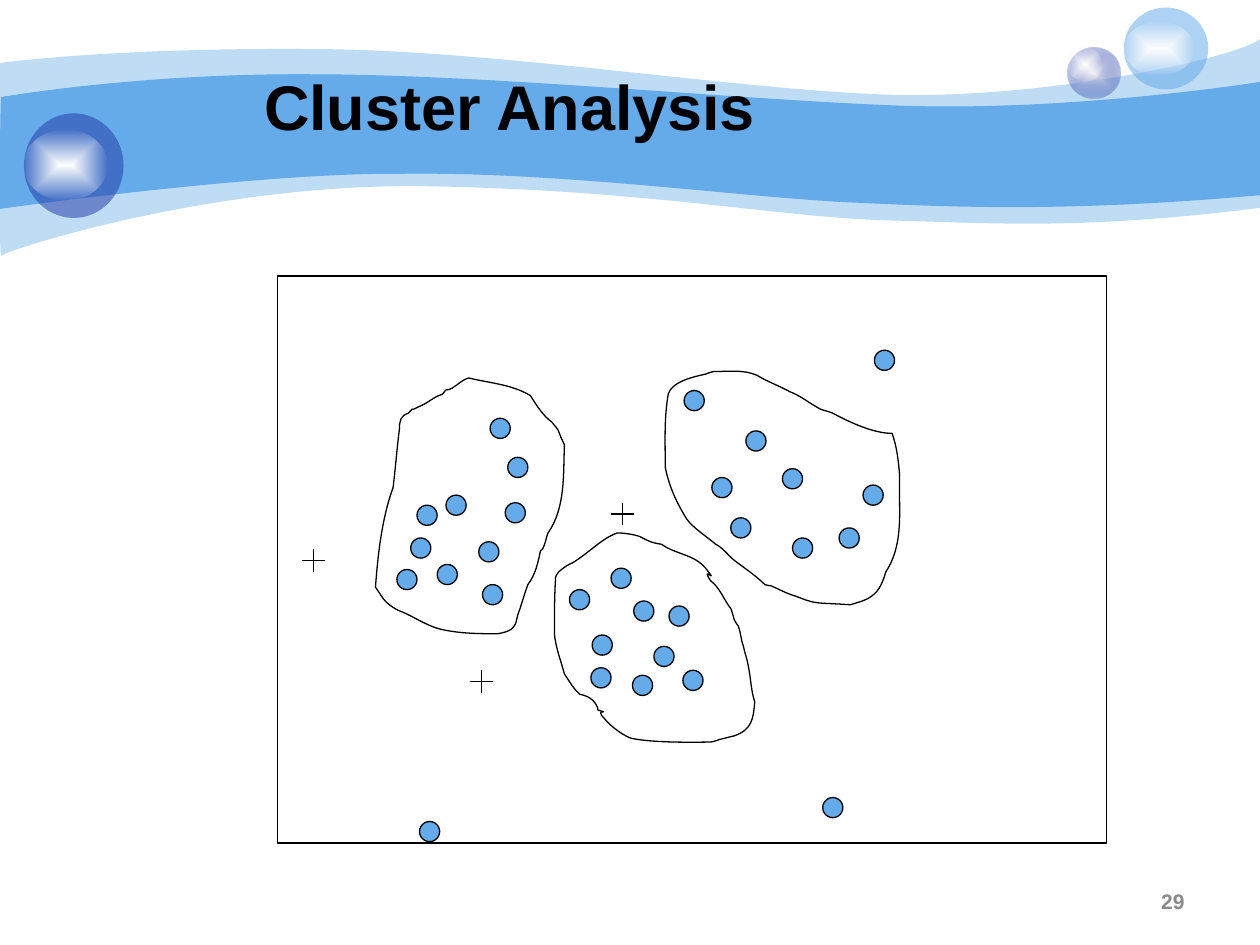
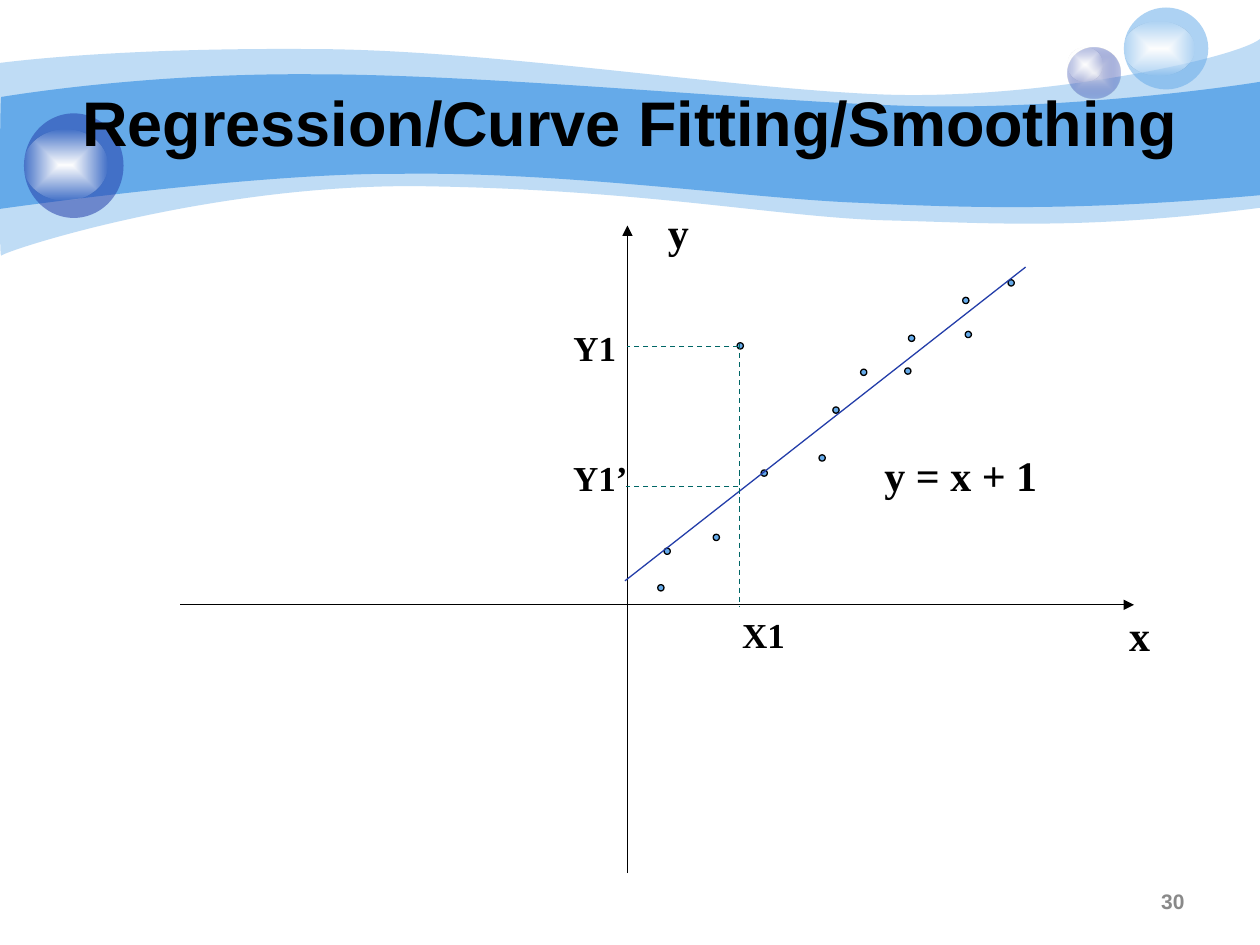
from dataclasses import dataclass
from typing import NamedTuple, Optional

from lxml import etree
from pptx import Presentation
from pptx.dml.color import RGBColor
from pptx.enum.dml import MSO_LINE_DASH_STYLE as Dash
from pptx.enum.shapes import MSO_CONNECTOR as Connector, MSO_SHAPE as Shape
from pptx.enum.text import MSO_ANCHOR as Anchor, MSO_AUTO_SIZE as AutoSize, PP_ALIGN as Align
from pptx.oxml.ns import qn
from pptx.util import Cm, Length, Pt


@dataclass(frozen=True)
class Theme:
    sky: str = "65AAE9"
    navy: str = "233DA9"
    mist: str = "E1E2ED"
    white: str = "FFFFFF"
    black: str = "000000"
    teal: str = "006666"
    grey: str = "898989"
    heading_font: str = "Arial"
    math_font: str = "Times New Roman"
    title_size: float = 36
    axis_size: float = 24
    mark_size: float = 20
    number_size: float = 12
    line_width: float = 0.75


THEME = Theme()


class Box(NamedTuple):
    """Left, top, width and height in grid units."""
    left: float
    top: float
    width: float
    height: float


class Stop(NamedTuple):
    color: str
    opacity: int = 100


class Bubble(NamedTuple):
    box: Box
    stops: tuple[Stop, ...]  # one stop is a solid fill, two are a radial gradient


class Label(NamedTuple):
    text: str
    box: Box
    size: float


class Segment(NamedTuple):
    start: tuple[float, float]
    end: tuple[float, float]
    color: str = THEME.black
    dash: Optional[Dash] = None
    arrow: bool = False


class Outline(NamedTuple):
    """A start point, then curves (three points each) or straight sides (one point)."""
    start: tuple[float, float]
    sides: tuple[tuple[float, ...], ...]


# ---- Shared scenery ----
PALE_BAND = Outline((0, 0.5), (
    (0.24, 0.47, 1.07, 0.38, 2.47, 0.39), (3.86, 0.39, 5.75, 0.7, 6.99, 0.75),
    (8.22, 0.8, 9.8, 0.47, 10, 0.31), (10, 1.65),
    (8.58, 1.83, 7.87, 1.77, 7.05, 1.75), (6.22, 1.73, 5.15, 1.51, 3.43, 1.48),
    (1.72, 1.44, 0.04, 1.99, 0.01, 2.03), (-0.01, 2.08, 0, 0.75, 0, 0.5)))
STRONG_BAND = Outline((0.01, 0.77), (
    (0.02, 0.77, 1.1, 0.58, 2.48, 0.59), (3.86, 0.59, 5.95, 0.8, 7.18, 0.84),
    (8.41, 0.88, 9.76, 0.69, 10, 0.65), (10, 1.55),
    (8.53, 1.68, 7.65, 1.65, 6.82, 1.61), (5.99, 1.58, 4.47, 1.36, 3.17, 1.38),
    (2.03, 1.37, -0.02, 1.66, -0.01, 1.66), (0, 1.66, 0, 0.77, 0.01, 0.77)))
GLOW = (Stop(THEME.white), Stop(THEME.white, 0))
BUBBLES = (
    Bubble(Box(8.47, 0.38, 0.42, 0.4), (Stop(THEME.mist), Stop(THEME.navy, 31))),
    Bubble(Box(8.47, 0.38, 0.28, 0.27), GLOW),
    Bubble(Box(8.92, 0.06, 0.67, 0.65), (Stop(THEME.sky, 53),)),
    Bubble(Box(8.92, 0.17, 0.56, 0.43), GLOW),
    Bubble(Box(0.19, 0.9, 0.79, 0.83), (Stop(THEME.navy, 53),)),
    Bubble(Box(0.19, 1.03, 0.66, 0.56), GLOW),
)
NUMBER_BOX = Box(7.17, 7, 2.33, 0.35)

# ---- Cluster slide ----
FRAME = Box(2.2, 2.19, 6.58, 4.5)
DOT_SIZE = 0.16
CROSS_ARM = 0.09
CROSSES = ((3.82, 5.41), (4.94, 4.08), (2.49, 4.45))
OUTLIERS = ((6.53, 6.33), (3.33, 6.52), (6.94, 2.78))
LEFT_DOTS = ((3.47, 4.48), (3.26, 4.27), (3.8, 4.3), (3.54, 3.93), (3.15, 4.52),
             (3.31, 4.01), (3.83, 4.64), (4.01, 3.99), (4.03, 3.63), (3.89, 3.32))
RIGHT_DOTS = ((5.92, 3.42), (5.8, 4.11), (6.21, 3.72), (5.65, 3.79), (6.85, 3.85),
              (6.66, 4.19), (6.29, 4.27), (5.43, 3.1))
LOWER_DOTS = ((4.52, 4.68), (5.31, 4.81), (5.02, 5.36), (5.19, 5.13), (4.7, 5.04),
              (4.69, 5.3), (4.85, 4.51), (5.03, 4.77), (5.42, 5.32))
RIGHT_CLUSTER = Outline((7.08, 3.44), (
    (7.12, 3.55, 7.13, 3.66, 7.14, 3.77), (7.13, 4.04, 7.18, 4.31, 7.03, 4.54),
    (7.01, 4.61, 6.98, 4.69, 6.92, 4.73), (6.87, 4.77, 6.81, 4.78, 6.75, 4.8),
    (6.45, 4.78, 6.49, 4.8, 6.31, 4.73), (6.24, 4.71, 6.19, 4.68, 6.12, 4.65),
    (6.1, 4.65, 6.07, 4.64, 6.07, 4.64), (6, 4.57, 5.91, 4.51, 5.83, 4.45),
    (5.77, 4.4, 5.74, 4.35, 5.68, 4.32), (5.61, 4.26, 5.5, 4.19, 5.45, 4.12),
    (5.37, 3.99, 5.31, 3.86, 5.28, 3.71), (5.28, 3.52, 5.27, 3.34, 5.3, 3.15),
    (5.31, 3.03, 5.51, 2.99, 5.6, 2.97), (5.62, 2.96, 5.66, 2.95, 5.66, 2.95),
    (5.77, 2.95, 5.9, 2.93, 6.01, 2.98), (6.09, 3.03, 6.18, 3.06, 6.27, 3.11),
    (6.35, 3.14, 6.41, 3.19, 6.48, 3.23), (6.52, 3.26, 6.57, 3.26, 6.61, 3.28),
    (6.74, 3.35, 6.93, 3.44, 7.08, 3.44)))
LOWER_CLUSTER = Outline((4.79, 5.65), (
    (4.71, 5.62, 4.77, 5.66, 4.73, 5.59), (4.7, 5.54, 4.65, 5.52, 4.6, 5.51),
    (4.58, 5.49, 4.56, 5.47, 4.54, 5.44), (4.52, 5.41, 4.48, 5.35, 4.48, 5.35),
    (4.45, 5.24, 4.41, 5.14, 4.4, 5.03), (4.4, 4.88, 4.4, 4.73, 4.41, 4.58),
    (4.42, 4.53, 4.53, 4.47, 4.54, 4.47), (4.66, 4.4, 4.78, 4.27, 4.9, 4.23),
    (4.94, 4.23, 5.03, 4.24, 5.08, 4.26), (5.14, 4.29, 5.17, 4.31, 5.25, 4.32),
    (5.36, 4.4, 5.51, 4.4, 5.6, 4.51), (5.72, 4.66, 5.55, 4.47, 5.64, 4.61),
    (5.66, 4.63, 5.68, 4.64, 5.69, 4.66), (5.73, 4.71, 5.76, 4.78, 5.8, 4.83),
    (5.84, 4.94, 5.81, 4.9, 5.86, 4.97), (5.88, 5.02, 5.88, 5.08, 5.9, 5.13),
    (5.91, 5.18, 5.93, 5.23, 5.94, 5.29), (5.96, 5.39, 5.96, 5.48, 5.99, 5.57),
    (5.98, 5.7, 5.97, 5.79, 5.83, 5.84), (5.79, 5.85, 5.75, 5.86, 5.71, 5.87),
    (5.69, 5.88, 5.64, 5.89, 5.64, 5.89), (5.56, 5.89, 5.2, 5.9, 5.01, 5.86),
    (4.95, 5.84, 4.87, 5.78, 4.82, 5.73), (4.8, 5.7, 4.73, 5.65, 4.79, 5.65)))
LEFT_CLUSTER = Outline((4.29, 4.37), (
    (4.27, 4.47, 4.25, 4.56, 4.19, 4.64), (4.16, 4.72, 4.14, 4.8, 4.11, 4.88),
    (4.1, 4.91, 4.1, 4.95, 4.08, 4.97), (4.07, 4.98, 4.06, 5, 4.05, 5),
    (4.02, 5.02, 3.95, 5.03, 3.95, 5.03), (3.8, 5.03, 3.64, 5.03, 3.48, 4.99),
    (3.38, 4.96, 3.29, 4.9, 3.2, 4.86), (3.14, 4.84, 3.08, 4.8, 3.04, 4.75),
    (3.02, 4.72, 2.98, 4.66, 2.98, 4.66), (3, 4.4, 3.03, 4.12, 3.12, 3.87),
    (3.14, 3.71, 3.15, 3.56, 3.17, 3.41), (3.17, 3.34, 3.18, 3.3, 3.24, 3.28),
    (3.31, 3.21, 3.23, 3.28, 3.32, 3.23), (3.4, 3.2, 3.44, 3.15, 3.51, 3.13),
    (3.57, 3.06, 3.51, 3.12, 3.59, 3.08), (3.64, 3.05, 3.66, 3.02, 3.72, 3),
    (3.88, 3.04, 4.06, 3.05, 4.21, 3.14), (4.26, 3.22, 4.31, 3.3, 4.38, 3.35),
    (4.4, 3.38, 4.43, 3.4, 4.44, 3.44), (4.45, 3.47, 4.48, 3.53, 4.48, 3.53),
    (4.47, 3.76, 4.49, 4.03, 4.35, 4.23), (4.34, 4.24, 4.32, 4.37, 4.29, 4.37)))

# ---- Regression slide ----
SAMPLE_SIZE = 0.05
SAMPLES = ((6.5, 3.61), (6.04, 3.73), (5.85, 2.72), (5.66, 4.24), (6.61, 3.23),
           (6.83, 2.93), (5.27, 4.35), (7.18, 2.92), (7.21, 2.66), (7.66, 2.63),
           (5.22, 4.64), (7.64, 2.36), (8, 2.22))
AXES = (Segment((1.43, 4.8), (9, 4.8), arrow=True),
        Segment((4.98, 6.93), (4.98, 1.79), arrow=True))
FIT_LINE = Segment((4.96, 4.61), (8.14, 2.12), THEME.navy)
GUIDES = (
    Segment((5.87, 2.73), (5.87, 4.82), THEME.teal, Dash.DASH),
    Segment((5.86, 2.75), (4.98, 2.75), THEME.teal, Dash.DASH),
    Segment((5.86, 3.86), (4.97, 3.86), THEME.teal, Dash.DASH),
)
AXIS_LABELS = (
    Label("x", Box(8.86, 4.79, 0.37, 0.5), THEME.axis_size),
    Label("y", Box(5.2, 1.59, 0.37, 0.5), THEME.axis_size),
    Label("y = x + 1", Box(6.92, 3.52, 1.41, 0.5), THEME.axis_size),
)
MARK_LABELS = (
    Label("X1", Box(5.79, 4.82, 0.54, 0.43), THEME.mark_size),
    Label("Y1", Box(4.45, 2.54, 0.54, 0.43), THEME.mark_size),
    Label("Y1’", Box(4.45, 3.57, 0.63, 0.43), THEME.mark_size),
)


# ---- Drawing helpers ----
def grid(units: float) -> Length:
    """One grid unit is a tenth of the slide width."""
    return Cm(units * 2.54)


def rgb(color: str) -> RGBColor:
    return RGBColor.from_string(color)


def style(shape, fill: Optional[str] = None, line: Optional[str] = THEME.black) -> None:
    shape.shadow.inherit = False
    if fill:
        shape.fill.solid()
        shape.fill.fore_color.rgb = rgb(fill)
    else:
        shape.fill.background()
    if line:
        shape.line.color.rgb = rgb(line)
        shape.line.width = Pt(THEME.line_width)
    else:
        shape.line.fill.background()


def set_opacity(color_element, percent: int) -> None:
    etree.SubElement(color_element, qn("a:alpha"), val=str(percent * 1000))


def add_preset(slide, kind: Shape, box: Box, fill=None, line=THEME.black):
    shape = slide.shapes.add_shape(kind, *map(grid, box))
    style(shape, fill, line)
    return shape


def add_bubble(slide, bubble: Bubble):
    shape = add_preset(slide, Shape.OVAL, bubble.box, bubble.stops[0].color, None)
    solid = shape.element.spPr.find(qn("a:solidFill"))
    if len(bubble.stops) == 1:
        set_opacity(solid[0], bubble.stops[0].opacity)
        return shape
    gradient = etree.Element(qn("a:gradFill"), rotWithShape="1")
    stop_list = etree.SubElement(gradient, qn("a:gsLst"))
    for position, stop in zip((0, 100000), bubble.stops):
        mark = etree.SubElement(stop_list, qn("a:gs"), pos=str(position))
        set_opacity(etree.SubElement(mark, qn("a:srgbClr"), val=stop.color), stop.opacity)
    radial = etree.SubElement(gradient, qn("a:path"), {"path": "shape"})
    etree.SubElement(radial, qn("a:fillToRect"), dict.fromkeys("ltrb", "50000"))
    shape.element.spPr.replace(solid, gradient)
    return shape


def add_outline(slide, outline: Outline, fill=None, line=THEME.black):
    """Lay every point as a corner, then join the three points of a curve into one Bézier."""
    builder = slide.shapes.build_freeform(*map(grid, outline.start))
    for side in outline.sides:
        builder.add_line_segments([(grid(x), grid(y)) for x, y in zip(side[::2], side[1::2])],
                                  close=side is outline.sides[-1])
    shape = builder.convert_to_shape()
    corners = iter(list(shape.element.spPr.iter(qn("a:lnTo"))))
    for side in outline.sides:
        corner = next(corners)
        if len(side) == 6:
            corner.tag = qn("a:cubicBezTo")
            for extra in (next(corners), next(corners)):
                corner.append(extra[0])
                extra.getparent().remove(extra)
    style(shape, fill, line)
    return shape


def add_segment(slide, segment: Segment) -> None:
    connector = slide.shapes.add_connector(
        Connector.STRAIGHT, *map(grid, segment.start + segment.end))
    connector.line.color.rgb = rgb(segment.color)
    connector.line.width = Pt(THEME.line_width)
    if segment.dash:
        connector.line.dash_style = segment.dash
    if segment.arrow:
        etree.SubElement(connector.element.spPr.find(qn("a:ln")), qn("a:tailEnd"),
                         type="triangle")
    etree.SubElement(connector.element.spPr, qn("a:effectLst"))


def add_dots(slide, kind: Shape, places, size: float) -> None:
    for left, top in places:
        add_preset(slide, kind, Box(left, top, size, size), THEME.sky)


def write(shape, text: str, font: str, size: float, color=THEME.black, align=Align.CENTER) -> None:
    paragraph = shape.text_frame.paragraphs[0]
    paragraph.text = text
    paragraph.alignment = align
    paragraph.font.name = font
    paragraph.font.size = Pt(size)
    paragraph.font.bold = True
    paragraph.font.color.rgb = rgb(color)


def add_label(slide, label: Label) -> None:
    text_box = slide.shapes.add_textbox(*map(grid, label.box))
    text_box.text_frame.word_wrap = False
    text_box.text_frame.auto_size = AutoSize.SHAPE_TO_FIT_TEXT
    write(text_box, label.text, THEME.math_font, label.size)


def add_titled_slide(presentation, layout, title_text: str, title_box: Box, number: int):
    slide = presentation.slides.add_slide(layout)
    title = slide.shapes.title
    title.left, title.top, title.width, title.height = map(grid, title_box)
    title.text_frame.auto_size = AutoSize.NONE
    title.text_frame.vertical_anchor = Anchor.MIDDLE
    write(title, title_text, THEME.heading_font, THEME.title_size)
    number_box = slide.shapes.add_textbox(*map(grid, NUMBER_BOX))
    number_box.text_frame.word_wrap = True
    write(number_box, str(number), THEME.heading_font, THEME.number_size, THEME.grey, Align.RIGHT)
    return slide


def move_scenery_to_layout(slide, layout) -> None:
    """Draw the bands and bubbles, then put them behind everything in the layout."""
    pale = add_outline(slide, PALE_BAND, THEME.sky, None)
    set_opacity(pale.element.spPr.find(qn("a:solidFill"))[0], 41)
    scenery = [pale, add_outline(slide, STRONG_BAND, THEME.sky, None)]
    scenery += [add_bubble(slide, bubble) for bubble in BUBBLES]
    for index, shape in enumerate(scenery, start=2):
        layout.shapes.element.insert(index, shape.element)


def main() -> None:
    presentation = Presentation()
    presentation.slide_width, presentation.slide_height = Cm(25.4), Cm(19.05)
    layout = presentation.slide_layouts[5]

    # Clusters, their points and the crosses between them
    clusters = add_titled_slide(presentation, layout, "Cluster Analysis",
                                Box(1.67, 0.5, 4.75, 0.67), 29)
    move_scenery_to_layout(clusters, layout)
    add_dots(clusters, Shape.FLOWCHART_CONNECTOR, OUTLIERS, DOT_SIZE)
    for x, y in CROSSES:
        add_segment(clusters, Segment((x - CROSS_ARM, y), (x + CROSS_ARM, y)))
        add_segment(clusters, Segment((x, y + CROSS_ARM), (x, y - CROSS_ARM)))
    add_preset(clusters, Shape.RECTANGLE, FRAME)
    add_dots(clusters, Shape.FLOWCHART_CONNECTOR, LEFT_DOTS + RIGHT_DOTS + LOWER_DOTS, DOT_SIZE)
    for outline in (RIGHT_CLUSTER, LOWER_CLUSTER, LEFT_CLUSTER):
        add_outline(clusters, outline)

    # Axes, samples, the fitted line and its guides
    regression = add_titled_slide(presentation, layout, "Regression/Curve Fitting/Smoothing",
                                  Box(0, 0.64, 10, 0.64), 30)
    for axis in AXES:
        add_segment(regression, axis)
    add_dots(regression, Shape.OVAL, SAMPLES, SAMPLE_SIZE)
    add_segment(regression, FIT_LINE)
    for label in AXIS_LABELS:
        add_label(regression, label)
    for guide in GUIDES:
        add_segment(regression, guide)
    for label in MARK_LABELS:
        add_label(regression, label)

    presentation.save("out.pptx")


if __name__ == "__main__":
    main()
